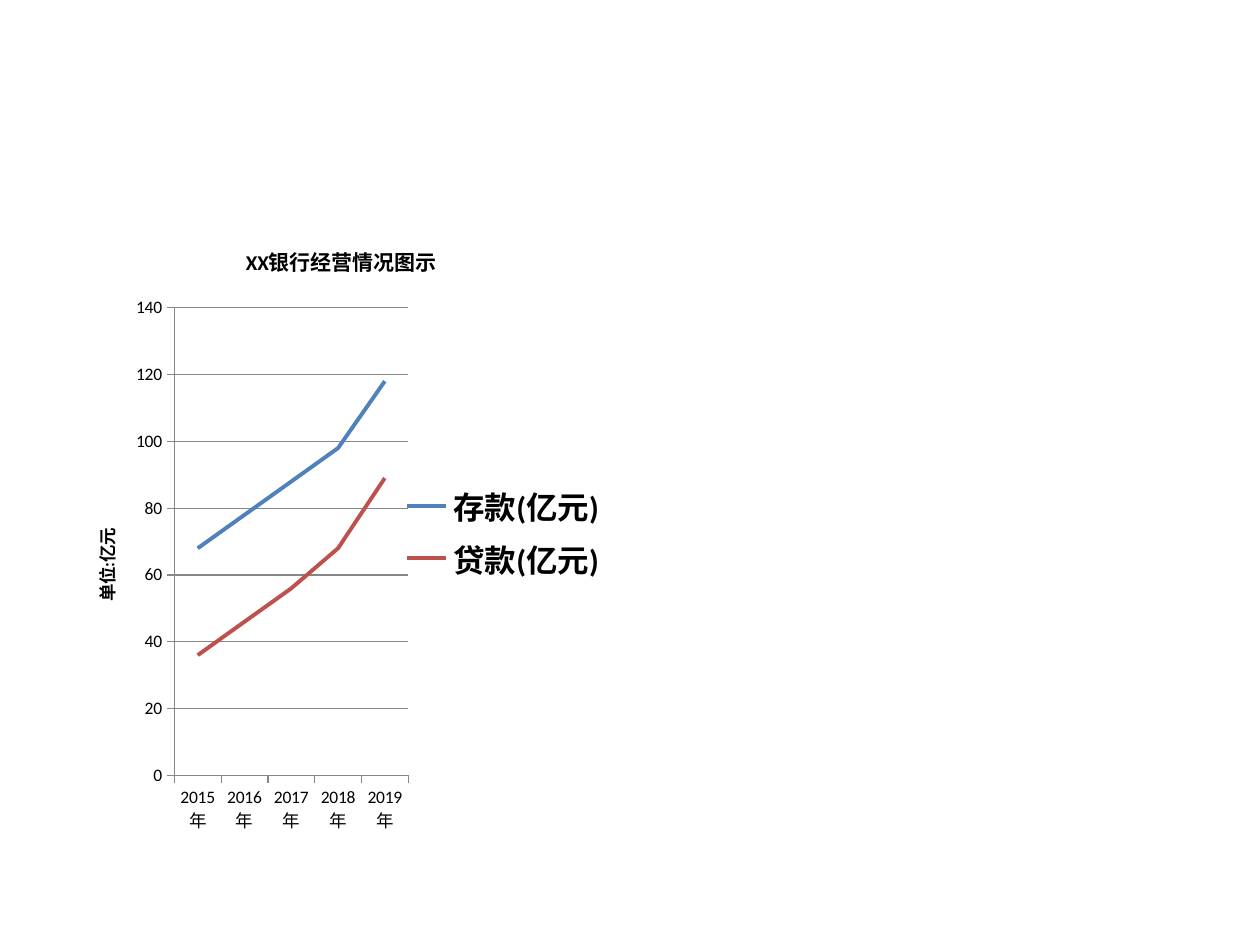
from lxml import etree
from pptx import Presentation
from pptx.chart.data import CategoryChartData
from pptx.dml.color import RGBColor
from pptx.enum.chart import XL_CHART_TYPE as ChartType, XL_LEGEND_POSITION as LegendPosition
from pptx.enum.chart import XL_MARKER_STYLE as MarkerStyle, XL_TICK_MARK as TickMark
from pptx.oxml.ns import qn
from pptx.util import Inches, Pt

# Content
TITLE = "XX银行经营情况图示"
UNIT = "单位:亿元"
YEARS = [f"{year}年" for year in range(2015, 2020)]
SERIES = {
    "存款(亿元)": (68, 78, 88, 98, 118),
    "贷款(亿元)": (36, 46, 56, 68, 89),
}
CHART_BOX = (0.5, 1.75, 4.42, 4.95)
PLOT_SHARES = {"x": 0.2, "y": 0.14, "w": 0.42, "h": 0.75}

THEME = {
    "font": "Calibri",
    "text": "000000",
    "axis": "878787",
    "series": ("4F81BD", "C0504D"),
    "title_size": 12,
    "axis_size": 10,
    "legend_size": 18,
    "axis_width": 0.75,
    "series_width": 2.25,
}


def style_font(font, size, bold=False):
    font.name = THEME["font"]
    font.size = Pt(size)
    font.bold = bold
    font.color.rgb = RGBColor.from_string(THEME["text"])


def style_line(line, color, width):
    line.color.rgb = RGBColor.from_string(color)
    line.width = Pt(width)


def write_title(title, text, size):
    title.text_frame.text = text
    style_font(title.text_frame.paragraphs[0].runs[0].font, size, bold=True)


def place_plot(chart, shares):
    """Fix the inner plot area as shares of the chart."""
    plot_area = chart.plots[0]._element.getparent()
    for old_layout in plot_area.findall(qn("c:layout")):
        plot_area.remove(old_layout)
    layout = etree.Element(qn("c:layout"))
    plot_area.insert(0, layout)
    manual = etree.SubElement(layout, qn("c:manualLayout"))
    settings = {"layoutTarget": "inner", "xMode": "edge", "yMode": "edge", **shares}
    for name, value in settings.items():
        etree.SubElement(manual, qn(f"c:{name}")).set("val", str(value))


# Slide
presentation = Presentation()
presentation.slide_width, presentation.slide_height = Inches(10), Inches(7.5)
slide = presentation.slides.add_slide(presentation.slide_layouts[6])

# Chart
data = CategoryChartData()
data.categories = YEARS
for name, values in SERIES.items():
    data.add_series(name, values)
chart = slide.shapes.add_chart(ChartType.LINE, *map(Inches, CHART_BOX), data).chart
style_font(chart.font, THEME["legend_size"])
chart.has_title = True
write_title(chart.chart_title, TITLE, THEME["title_size"])
chart.plots[0].vary_by_categories = False
place_plot(chart, PLOT_SHARES)

# Axes
for axis in (chart.category_axis, chart.value_axis):
    axis.major_tick_mark = TickMark.OUTSIDE
    axis.minor_tick_mark = TickMark.NONE
    style_font(axis.tick_labels.font, THEME["axis_size"])
    style_line(axis.format.line, THEME["axis"], THEME["axis_width"])
value_axis = chart.value_axis
value_axis.minimum_scale, value_axis.maximum_scale, value_axis.major_unit = 0, 140, 20
value_axis.has_major_gridlines = True
style_line(value_axis.major_gridlines.format.line, THEME["axis"], THEME["axis_width"])
write_title(value_axis.axis_title, UNIT, THEME["axis_size"])

# Legend
chart.has_legend = True
chart.legend.position = LegendPosition.RIGHT
chart.legend.include_in_layout = False
style_font(chart.legend.font, THEME["legend_size"], bold=True)

# Series
for series, color in zip(chart.series, THEME["series"]):
    series.smooth = False
    series.marker.style = MarkerStyle.NONE
    style_line(series.format.line, color, THEME["series_width"])

presentation.save("out.pptx")
